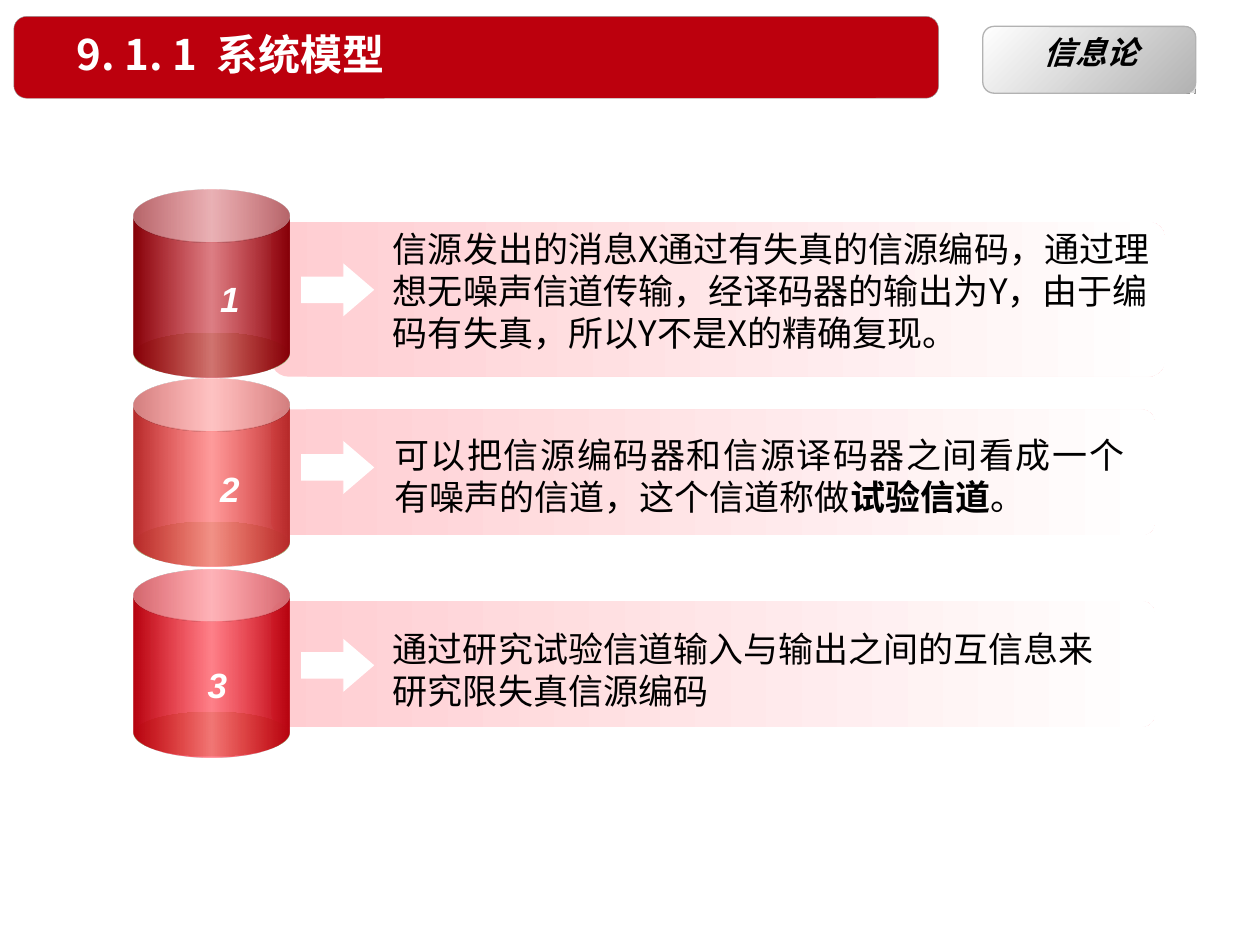
from lxml import etree
from pptx import Presentation, util as u
from pptx.dml import color
from pptx.enum import dml, shapes, text
from pptx.oxml import ns

PX = 9144
KIND = shapes.MSO_SHAPE
ALIGN = text.PP_ALIGN
CJK = "Noto Sans CJK SC"
PINK = [(0, "FFCDD1"), (100, "FFFFFF")]
OLIVE = [(0, "C1CF9D"), (50, "E5EBD5"), (100, "C1CF9D")]

ROWS = [
    dict(top=151, edge="860009", core="BC000D", panel=(25, 710, 123),
         arrow=58, label=("1", 10, 64), body=(302, 25, 631, 111),
         align=ALIGN.LEFT, runs=[(
             "信源发出的消息X通过有失真的信源编码，通过理想无噪声信道传输，"
             "经译码器的输出为Y，由于编码有失真，所以Y不是X的精确复现。", False)]),
    dict(top=301, edge="B62A2A", core="FF3B3B", panel=(24, 702, 100),
         arrow=49, label=("2", 10, 65), body=(303, 38, 599, 77),
         align=ALIGN.JUSTIFY, runs=[
             ("可以把信源编码器和信源译码器之间看成一个有噪声的信道，这个信道称做", False),
             ("试验信道", True), ("。", False)]),
    dict(top=452, edge="B60410", core="FF0517", panel=(25, 702, 100),
         arrow=55, label=("3", 0, 70), body=(302, 41, 600, 77),
         align=ALIGN.LEFT, runs=[(
             "通过研究试验信道输入与输出之间的互信息来研究限失真信源编码", False)]),
]


def rgb(value):
    return color.RGBColor.from_string(value)


def emu(*lengths):
    return [u.Emu(length * PX) for length in lengths]


def apply(target, values):
    for name, value in values.items():
        setattr(target, name, value)


def paint_gradient(part, stops, angle):
    part.fill.gradient()
    part.fill.gradient_angle = angle
    stop_list = part._element.spPr.find(".//" + ns.qn("a:gsLst"))
    for old in list(stop_list):
        stop_list.remove(old)
    for position, tint, *alpha in stops:
        stop = etree.SubElement(stop_list, ns.qn("a:gs"), pos=str(position * 1000))
        shade = etree.SubElement(stop, ns.qn("a:srgbClr"), val=tint)
        for percent in alpha:
            etree.SubElement(shade, ns.qn("a:alpha"), val=str(percent * 1000))


def add_part(slide, kind, box, fill, adjust=(), angle=0, line=None):
    part = slide.shapes.add_shape(kind, *emu(*box))
    part.shadow.inherit = False
    for index, value in enumerate(adjust):
        part.adjustments[index] = value
    if isinstance(fill, str):
        part.fill.solid()
        part.fill.fore_color.rgb = rgb(fill)
    else:
        paint_gradient(part, fill, angle)
    if line:
        part.line.color.rgb = rgb(line[0])
        part.line.width = u.Pt(line[1])
    else:
        part.line.fill.background()
    return part


def add_words(slide, box, runs, size, tint="000000", face=CJK, italic=False,
              align=ALIGN.LEFT, anchor=text.MSO_ANCHOR.TOP, spacing=None):
    frame = slide.shapes.add_textbox(*emu(*box)).text_frame
    apply(frame, dict(word_wrap=True, vertical_anchor=anchor))
    paragraph = frame.paragraphs[0]
    apply(paragraph, dict(alignment=align, line_spacing=spacing))
    for words, bold in runs:
        run = paragraph.add_run()
        run.text = words
        apply(run.font, dict(size=u.Pt(size), bold=bold, italic=italic, name=face))
        run.font.color.rgb = rgb(tint)
        etree.SubElement(run._r.get_or_add_rPr(), ns.qn("a:ea"), typeface=face)


def add_title(slide, left, top, width, height):
    add_part(slide, KIND.ROUNDED_RECTANGLE, (left, top, width, height), "BC000D",
             [0.157], line=("969696", 0.25))
    add_words(slide, (left + 40, top, 638, height), [("9. 1. 1  系统模型", True)], 24,
              "FFFFFF", anchor=text.MSO_ANCHOR.MIDDLE, spacing=0.9)


def add_badge(slide, left, top, width, height):
    backing = add_part(slide, KIND.RECTANGLE, (left + 17, top + 15, width - 17, height - 15),
                       [(0, "FFFFFF"), (100, "DDDDDD")], line=("969696", 0.75))
    backing.line.dash_style = dml.MSO_LINE.DASH
    add_part(slide, KIND.ROUNDED_RECTANGLE, (left, top, width, height),
             [(0, "FFFFFF"), (100, "B2B2B2")], [0.167], 315, ("B2B2B2", 0.75))
    add_words(slide, (left + 8, top, 156, 40), [("信息论", True)], 18, italic=True,
              align=ALIGN.CENTER, spacing=u.Pt(22))


def add_cylinder(slide, left, top, edge, core, label):
    add_part(slide, KIND.OVAL, (left, top + 113, 124, 35), OLIVE)
    add_part(slide, KIND.CAN, (left, top, 124, 149),
             [(0, edge), (50, core, 50), (100, edge)], [0.332])
    number, shift, drop = label
    add_words(slide, (left + 9 + shift, top + drop, 115, 44), [(number, True)], 20,
              "FFFFFF", "Arial", True, ALIGN.CENTER)


def add_row(slide, left, top, edge, core, panel, arrow, label, body, align, runs):
    drop, width, height = panel
    add_part(slide, KIND.ROUNDED_RECTANGLE, (left + 109, top + drop, width, height),
             PINK, [0.115])
    text_left, text_drop, text_width, text_height = body
    add_words(slide, (text_left, top + text_drop, text_width, text_height), runs, 20,
              align=align, spacing=u.Pt(24))
    add_part(slide, KIND.RIGHT_ARROW, (left + 133, top + arrow, 58, 42), "FFFFFF",
             [0.5, 0.583])
    add_cylinder(slide, left, top, edge, core, label)


def main():
    deck = Presentation()
    deck.slide_width, deck.slide_height = emu(1000, 750)
    slide = deck.slides.add_slide(deck.slide_layouts[6])
    add_title(slide, 11, 13, 734, 65)
    for row in ROWS:
        add_row(slide, 106, **row)
    add_badge(slide, 780, 21, 169, 53)
    deck.save("out.pptx")


if __name__ == "__main__":
    main()
